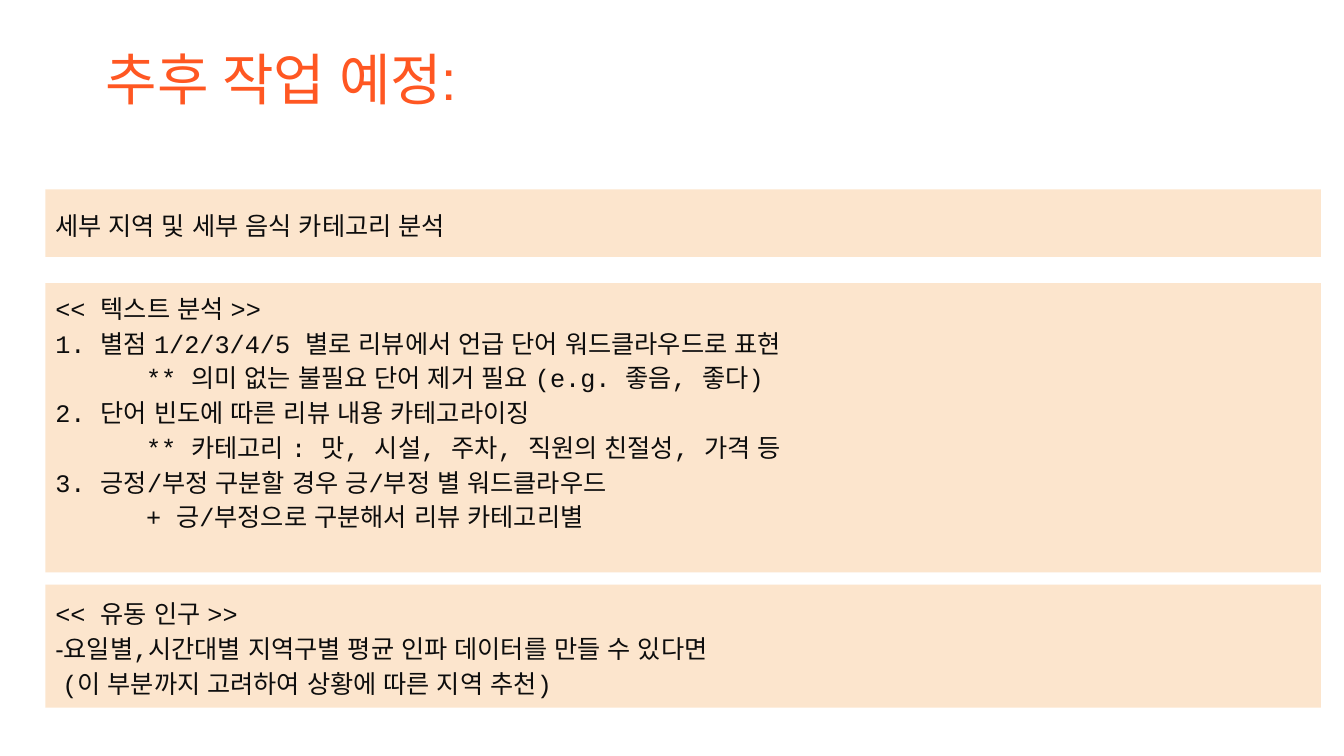
import pptx
import pptx.util
import pptx.dml.color
import pptx.enum.shapes
import pptx.enum.text
import pptx.oxml

Inches = pptx.util.Inches
RGBColor = pptx.dml.color.RGBColor
ORANGE = RGBColor(0xFF, 0x57, 0x22)
PEACH = RGBColor(0xFC, 0xE5, 0xCD)
INK = RGBColor(0x0D, 0x0D, 0x0D)


def add_text(paragraph, text, latin="Courier New", east_asian="Arial", size=18,
             color=INK, spacing=1.15, indent=0):
    """Append one formatted run; Korean letters use the East Asian font."""
    paragraph.alignment = pptx.enum.text.PP_ALIGN.LEFT
    paragraph.line_spacing = spacing
    if indent:
        paragraph._p.get_or_add_pPr().set("marL", str(Inches(indent)))
    run = paragraph.add_run()
    run.text = text
    run.font.name = latin
    run.font.size = pptx.util.Pt(size)
    run.font.color.rgb = color
    run.font._element.append(pptx.oxml.parse_xml(
        '<a:ea xmlns:a="http://schemas.openxmlformats.org/drawingml/2006/main" '
        f'typeface="{east_asian}"/>'))


presentation = pptx.Presentation()
presentation.slide_width = Inches(13.33)
presentation.slide_height = Inches(7.5)
slide = presentation.slides.add_slide(presentation.slide_layouts[5])

# Title
title = slide.shapes.title
title.left, title.top = Inches(0.92), Inches(0.31)
title.width, title.height = Inches(11.5), Inches(1.45)
title_frame = title.text_frame
title_frame.auto_size = pptx.enum.text.MSO_AUTO_SIZE.NONE
title_frame.vertical_anchor = pptx.enum.text.MSO_ANCHOR.TOP
title_frame.margin_left = title_frame.margin_right = Inches(0.13)
title_frame.margin_top = title_frame.margin_bottom = Inches(0.13)
add_text(title_frame.paragraphs[0], "추후 작업 예정:", latin="Roboto Slab",
         east_asian="Roboto Slab", size=40, color=ORANGE, spacing=1)

# Panels: top, height, bottom margin, lines of (left indent, text)
SUB_INDENT = 0.9
panels = [
    (1.88, 0.67, 0.1, [(0, "세부 지역 및 세부 음식 카테고리 분석")]),
    (2.81, 2.87, 0.45, [
        (0, "<< 텍스트 분석 >>"),
        (0, "1. 별점 1/2/3/4/5 별로 리뷰에서 언급 단어 워드클라우드로 표현"),
        (SUB_INDENT, "** 의미 없는 불필요 단어 제거 필요 (e.g. 좋음, 좋다)"),
        (0, "2. 단어 빈도에 따른 리뷰 내용 카테고라이징"),
        (SUB_INDENT, "** 카테고리 : 맛, 시설, 주차, 직원의 친절성, 가격 등"),
        (0, "3. 긍정/부정 구분할 경우 긍/부정 별 워드클라우드"),
        (SUB_INDENT, "+ 긍/부정으로 구분해서 리뷰 카테고리별"),
    ]),
    (5.8, 1.22, 0.1, [
        (0, "<< 유동 인구 >>"),
        (0, "-요일별,시간대별 지역구별 평균 인파 데이터를 만들 수 있다면"),
        (0.07, "(이 부분까지 고려하여 상황에 따른 지역 추천)"),
    ]),
]
for top, height, bottom_margin, lines in panels:
    panel = slide.shapes.add_shape(
        pptx.enum.shapes.MSO_SHAPE.RECTANGLE,
        Inches(0.45), Inches(top), Inches(12.65), Inches(height))
    panel.shadow.inherit = False
    panel.fill.solid()
    panel.fill.fore_color.rgb = PEACH
    panel.line.fill.background()
    frame = panel.text_frame
    frame.word_wrap = True
    frame.vertical_anchor = pptx.enum.text.MSO_ANCHOR.MIDDLE
    frame.margin_left = frame.margin_right = frame.margin_top = Inches(0.1)
    frame.margin_bottom = Inches(bottom_margin)
    for number, (indent, text) in enumerate(lines):
        paragraph = frame.add_paragraph() if number else frame.paragraphs[0]
        if text.startswith("-"):
            # The leading dash is proportional, unlike the other symbols
            add_text(paragraph, "-", latin="Arial")
            text = text[1:]
        add_text(paragraph, text, indent=indent)

presentation.save("out.pptx")
